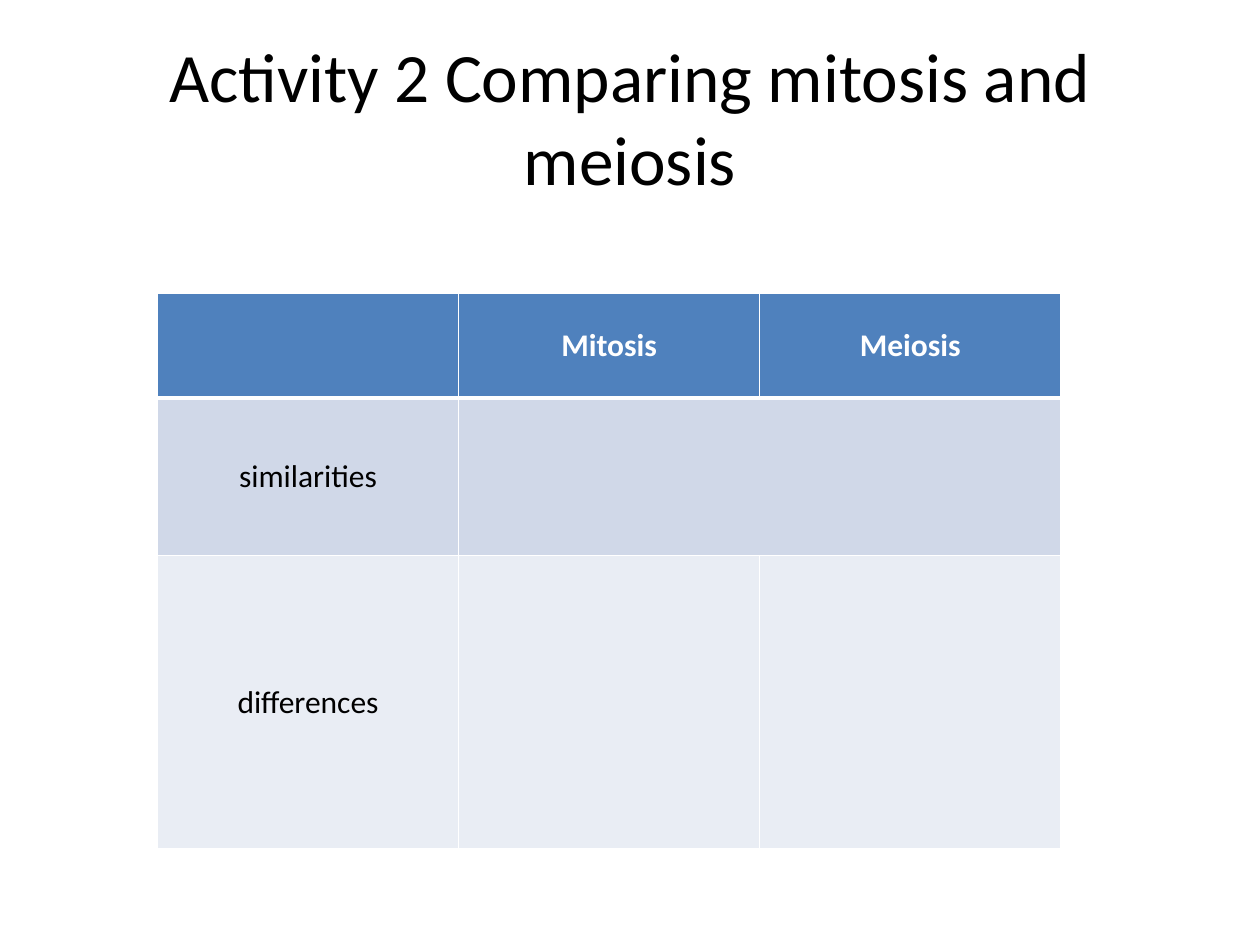
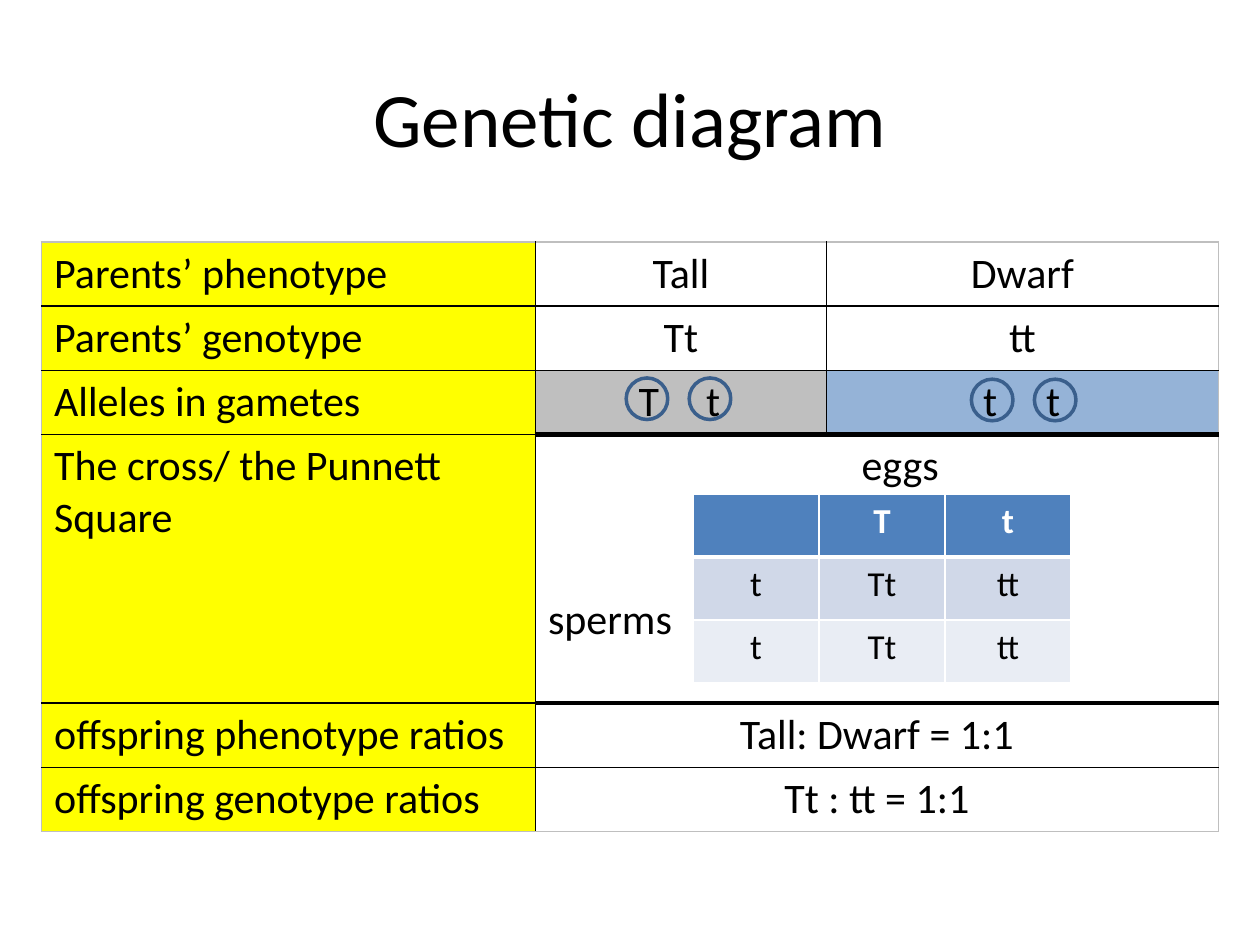
from dataclasses import dataclass
from typing import Callable, NamedTuple

from pptx import Presentation
from pptx.dml.color import RGBColor
from pptx.enum.shapes import MSO_SHAPE as Shape
from pptx.enum.text import MSO_ANCHOR as Anchor, PP_ALIGN as Align
from pptx.oxml.ns import qn
from pptx.slide import Slide
from pptx.table import Table, _Cell as TableCell
from pptx.util import Inches, Pt
from lxml.etree import SubElement as Sub

FONT = "Calibri"
BLACK, WHITE, GREY = "000000", "FFFFFF", "BFBFBF"
HEAD, BANDS = "4F81BD", ("D0D8E8", "E9EDF4")
YELLOW, BLUE, RING = "FFFF00", "95B3D7", "3A5F8C"


class Edge(NamedTuple):
    ink: str
    width: float


class Cell(NamedTuple):
    text: str = ""
    fill: str = WHITE
    ink: str = BLACK
    bold: bool = False
    align: Align = Align.CENTER
    span: int = 1


@dataclass
class Grid:
    left: float
    top: float
    cols: list[float]
    rows: list[float]
    cells: list[list[Cell]]
    size: float
    flat: Callable[[int, int], Edge]
    upright: Callable[[int], Edge]
    anchor: Anchor = Anchor.TOP


def color(code: str) -> RGBColor:
    return RGBColor.from_string(code)


def style(para, size: float, ink: str = BLACK, bold: bool = False) -> None:
    for run in para.runs:
        font = run.font
        font.name, font.size, font.bold = FONT, Pt(size), bold
        font.color.rgb = color(ink)


def rule(cell: TableCell, side: str, edge: Edge) -> None:
    props = cell._tc.get_or_add_tcPr()
    line = Sub(props, qn(f"a:ln{side}"), w=str(Pt(edge.width)))
    Sub(Sub(line, qn("a:solidFill")), qn("a:srgbClr"), val=edge.ink)


def draw(slide: Slide, grid: Grid) -> Table:
    frame = slide.shapes.add_table(
        len(grid.rows), len(grid.cols), Inches(grid.left), Inches(grid.top),
        Inches(sum(grid.cols)), Inches(sum(grid.rows)))
    table = frame.table
    table.first_row = table.horz_banding = False
    for col, width in zip(table.columns, grid.cols):
        col.width = Inches(width)
    for row, height in zip(table.rows, grid.rows):
        row.height = Inches(height)
    for r, line in enumerate(grid.cells):
        c = 0
        for data in line:
            end = c + data.span
            if data.span > 1:
                table.cell(r, c).merge(table.cell(r, end - 1))
            for n in range(c, end):
                part = table.cell(r, n)
                if n == c:
                    rule(part, "L", grid.upright(c))
                rule(part, "R", grid.upright(end))
                rule(part, "T", grid.flat(r, n))
                rule(part, "B", grid.flat(r + 1, n))
                part.fill.solid()
                part.fill.fore_color.rgb = color(data.fill)
            cell = table.cell(r, c)
            cell.vertical_anchor = grid.anchor
            cell.text_frame.text = data.text
            for para in cell.text_frame.paragraphs:
                para.alignment = data.align
                style(para, grid.size, data.ink, data.bold)
            c = end
    return table


def banded(left: float, top: float, width: float, rows: list[float],
           texts: list[list[str]], size: float,
           anchor: Anchor = Anchor.TOP) -> Grid:
    cells = [[Cell(text, HEAD, WHITE, True) for text in texts[0]]]
    for line, fill in zip(texts[1:], BANDS):
        part = [Cell(text, fill) for text in line]
        part[-1] = part[-1]._replace(span=4 - len(line))
        cells.append(part)
    return Grid(left, top, [width] * 3, rows, cells, size,
                lambda r, c: Edge(WHITE, 3 if r == 1 else 1),
                lambda c: Edge(WHITE, 1), anchor)


def tabs(cell: TableCell, stops: tuple[float, float]) -> None:
    para = cell.text_frame.paragraphs[0]
    para.alignment = Align.LEFT
    group = Sub(para._p.get_or_add_pPr(), qn("a:tabLst"))
    for stop in stops:
        Sub(group, qn("a:tab"), pos=str(Inches(stop)), algn="ctr")


def ring(slide: Slide, left: float, top: float) -> None:
    shape = slide.shapes.add_shape(
        Shape.OVAL, Inches(left), Inches(top), Inches(0.33), Inches(0.33))
    shape.shadow.inherit = False
    shape.fill.background()
    shape.line.color.rgb = color(RING)
    shape.line.width = Pt(2)


def start(deck, text: str, size: float) -> Slide:
    slide = deck.slides.add_slide(deck.slide_layouts[5])
    title = slide.shapes.title
    title.left, title.top = Inches(0.5), Inches(0.3)
    title.width, title.height = Inches(9), Inches(1.25)
    frame = title.text_frame
    frame.text = text
    frame.vertical_anchor = Anchor.MIDDLE
    frame.paragraphs[0].alignment = Align.CENTER
    style(frame.paragraphs[0], size)
    return slide


def compare(deck) -> None:
    slide = start(deck, "Activity 2 Comparing mitosis and meiosis", 39.6)
    texts = [["", "Mitosis", "Meiosis"], ["similarities", ""],
             ["differences", "", ""]]
    draw(slide, banded(1.25, 2.33, 2.39, [0.83, 1.25, 2.33], texts, 18,
                       Anchor.MIDDLE))


def cross(deck) -> None:
    slide = start(deck, "Genetic diagram", 44)

    def label(text: str) -> Cell:
        return Cell(text, YELLOW, align=Align.LEFT)

    def flat(r: int, c: int) -> Edge:
        if r in (0, 6):
            return Edge(GREY, 1)
        return Edge(BLACK, 3 if r in (3, 4) and c else 1)

    def upright(c: int) -> Edge:
        return Edge(GREY if c in (0, 3) else BLACK, 1)

    cells = [
        [label("Parents’ phenotype"), Cell("Tall"), Cell("Dwarf")],
        [label("Parents’ genotype"), Cell("Tt"), Cell("tt")],
        [label("Alleles in gametes"), Cell("\tT\tt", GREY),
         Cell("\tt\tt", BLUE)],
        [label("The cross/ the Punnett Square"),
         Cell("eggs\nsperms", span=2)],
        [label("offspring phenotype ratios"),
         Cell("Tall: Dwarf = 1:1", span=2)],
        [label("offspring genotype ratios"),
         Cell("Tt : tt = 1:1", span=2)],
    ]
    rows = [0.51] * 3 + [2.13] + [0.51] * 2
    table = draw(slide, Grid(0.33, 1.92, [3.92, 2.31, 3.11], rows, cells, 24,
                             flat, upright))
    tabs(table.cell(2, 1), (0.8, 1.31))
    tabs(table.cell(2, 2), (1.2, 1.7))
    eggs, sperms = table.cell(3, 1).text_frame.paragraphs
    eggs._p.get_or_add_pPr().set("marL", str(Inches(0.37)))
    sperms.alignment = Align.LEFT
    sperms.space_before = Pt(58.6)
    for left, top in ((4.97, 3), (7.71, 3.01)):
        for step in (0, 0.5):
            ring(slide, left + step, top)
    texts = [["", "T", "t"]] + [["t", "Tt", "tt"]] * 2
    draw(slide, banded(5.5, 3.92, 1, [0.5] * 3, texts, 20))


def main() -> None:
    deck = Presentation()
    deck.slide_width, deck.slide_height = Inches(10), Inches(7.5)
    compare(deck)
    cross(deck)
    deck.save("out.pptx")


if __name__ == "__main__":
    main()
